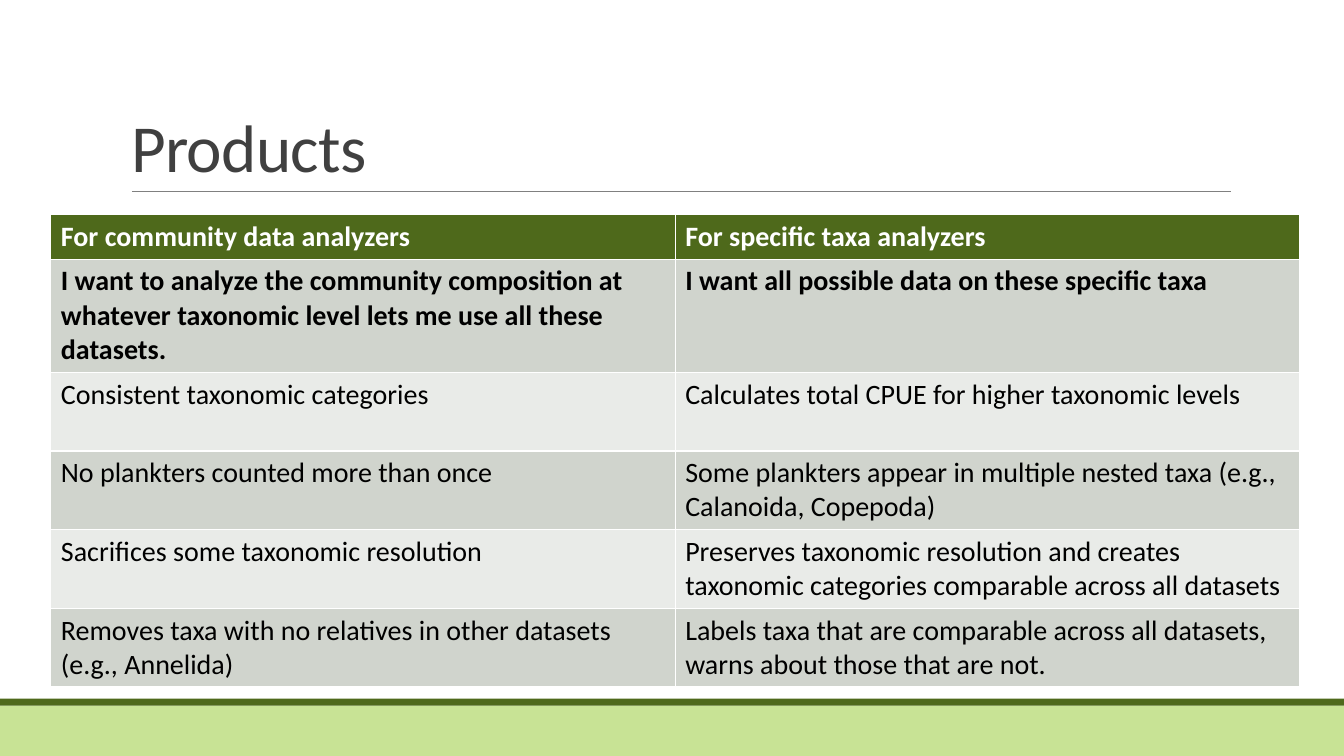
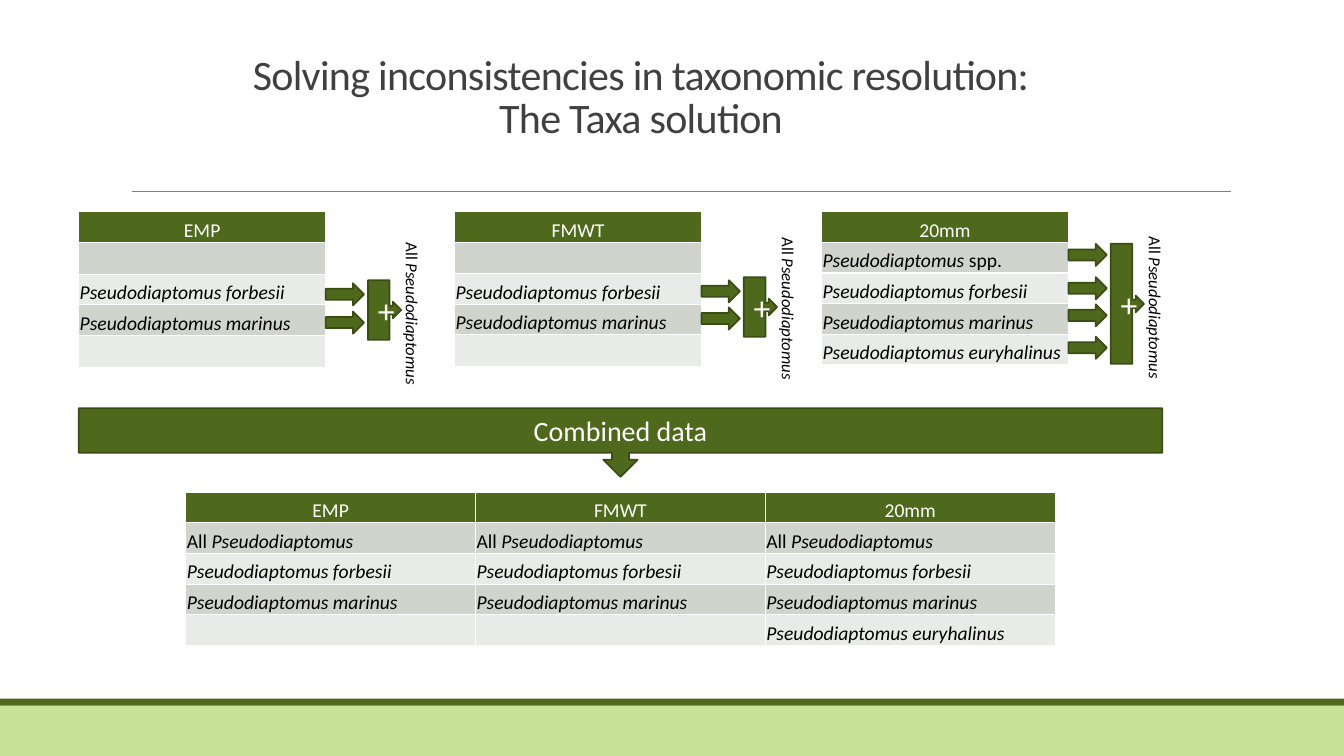
from dataclasses import dataclass
from typing import NamedTuple

from lxml import etree
from pptx import Presentation
from pptx.dml.color import RGBColor
from pptx.enum import shapes, text
from pptx.oxml import ns
from pptx.util import Pt

COLORS = {
    "band": "C8E395",
    "green": "4E691B",
    "outline": "3A4E14",
    "rule": "808080",
    "title": "404040",
    "dark_row": "D0D4CD",
    "light_row": "E9EBE8",
    "black": "000000",
    "white": "FFFFFF",
}
FONT = "Calibri"
SLIDE_WIDTH, SLIDE_HEIGHT = 960, 540
TITLE_ONLY = 5


class Box(NamedTuple):
    left: float
    top: float
    width: float
    height: float

    def lengths(self) -> tuple:
        return tuple(Pt(value) for value in self)


@dataclass(frozen=True)
class TableStyle:
    size: float
    bold_rows: int = 0
    compact: bool = False


@dataclass(frozen=True)
class Survey:
    name: str
    left: float
    taxa: tuple[str, ...]
    arrow_tops: tuple[float, ...]
    sum_top: float
    sum_height: float
    label_top: float


FORBESII = "*Pseudodiaptomus forbesii*"
MARINUS = "*Pseudodiaptomus marinus*"
EURYHALINUS = "*Pseudodiaptomus euryhalinus*"
ALL_GENUS = "All *Pseudodiaptomus*"

PRODUCTS = [
    ("For community data analyzers", "For specific taxa analyzers"),
    ("I want to analyze the community composition at whatever taxonomic level "
     "lets me use all these datasets.",
     "I want all possible data on these specific taxa"),
    ("Consistent taxonomic categories",
     "Calculates total CPUE for higher taxonomic levels"),
    ("No plankters counted more than once",
     "Some plankters appear in multiple nested taxa (e.g., Calanoida, Copepoda)"),
    ("Sacrifices some taxonomic resolution",
     "Preserves taxonomic resolution and creates taxonomic categories "
     "comparable across all datasets"),
    ("Removes taxa with no relatives in other datasets (e.g., Annelida)",
     "Labels taxa that are comparable across all datasets, warns about those "
     "that are not."),
]
SURVEYS = [
    Survey("EMP", 56.2, ("", FORBESII, MARINUS, ""),
           (202.3, 222.5), 200.2, 42.5, 223.2),
    Survey("FMWT", 324.7, ("", FORBESII, MARINUS, ""),
           (200.2, 219.6), 198, 42.5, 219.6),
    Survey("20mm", 586.8, ("*Pseudodiaptomus* spp.", FORBESII, MARINUS, EURYHALINUS),
           (174.2, 198, 217.4, 240.5), 174.2, 85.7, 218.9),
]
SURVEY_WIDTH = 176.4
SURVEY_TOP = 151.2
TAXA_ROW = 21.9
PRODUCT_STYLE = TableStyle(20, bold_rows=2)
TAXA_STYLE = TableStyle(14, compact=True)


def rgb(name: str) -> RGBColor:
    return RGBColor.from_string(COLORS[name])


def format_font(font, size: float, color: str, bold: bool = False) -> None:
    font.name = FONT
    font.size = Pt(size)
    font.bold = bold
    font.color.rgb = rgb(color)


def write_marked(paragraph, marked: str, size: float, color: str,
                 bold: bool = False) -> None:
    for index, part in enumerate(marked.split("*")):
        if part:
            run = paragraph.add_run()
            run.text = part
            format_font(run.font, size, color, bold)
            run.font.italic = index % 2 == 1


def add_block(slide, kind, box: Box, fill: str, outline: str = ""):
    block = slide.shapes.add_shape(kind, *box.lengths())
    block.shadow.inherit = False
    block.fill.solid()
    block.fill.fore_color.rgb = rgb(fill)
    if outline:
        block.line.color.rgb = rgb(outline)
        block.line.width = Pt(1.25)
    else:
        block.line.fill.background()
    return block


def add_flow(slide, kind, box: Box, caption: str = "", size: float = 20) -> None:
    flow = add_block(slide, kind, box, "green", "outline")
    if caption:
        frame = flow.text_frame
        frame.text = caption
        frame.word_wrap = True
        frame.vertical_anchor = text.MSO_ANCHOR.MIDDLE
        paragraph = frame.paragraphs[0]
        paragraph.alignment = text.PP_ALIGN.CENTER
        format_font(paragraph.runs[0].font, size, "white")


def add_titled_slide(prs, title: str, box: Box, size: float, align):
    slide = prs.slides.add_slide(prs.slide_layouts[TITLE_ONLY])
    rectangle = shapes.MSO_SHAPE.RECTANGLE
    add_block(slide, rectangle, Box(0, 504, SLIDE_WIDTH, 36), "band")
    add_block(slide, rectangle, Box(0, 499, SLIDE_WIDTH, 5), "green")
    rule = slide.shapes.add_connector(
        shapes.MSO_CONNECTOR.STRAIGHT, Pt(94.3), Pt(136.8), Pt(879), Pt(136.8))
    rule.line.color.rgb = rgb("rule")
    rule.line.width = Pt(0.5)
    etree.SubElement(rule._element.spPr, ns.qn("a:effectLst"))

    heading = slide.shapes.title
    heading.left, heading.top, heading.width, heading.height = box.lengths()
    frame = heading.text_frame
    frame.text = title
    frame.word_wrap = True
    frame.auto_size = text.MSO_AUTO_SIZE.NONE
    frame.vertical_anchor = text.MSO_ANCHOR.BOTTOM
    for paragraph in frame.paragraphs:
        paragraph.alignment = align
        paragraph.line_spacing = 0.85
        for run in paragraph.runs:
            format_font(run.font, size, "title")
            run._r.get_or_add_rPr().set("spc", "-50")
    return slide


def add_data_table(slide, left: float, top: float, column_width: float,
                   row_heights: list[float], rows: list[tuple[str, ...]],
                   style: TableStyle) -> None:
    columns = len(rows[0])
    box = Box(left, top, column_width * columns, sum(row_heights))
    grid = slide.shapes.add_table(len(rows), columns, *box.lengths()).table
    for column in grid.columns:
        column.width = Pt(column_width)
    for index, (height, values) in enumerate(zip(row_heights, rows)):
        grid.rows[index].height = Pt(height)
        header = index == 0
        fill = "green" if header else ("light_row", "dark_row")[index % 2]
        for cell, value in zip(grid.rows[index].cells, values):
            cell.fill.solid()
            cell.fill.fore_color.rgb = rgb(fill)
            paragraph = cell.text_frame.paragraphs[0]
            if style.compact:
                cell.margin_left = cell.margin_right = cell.margin_top = Pt(0.72)
                cell.margin_bottom = 0
                cell.vertical_anchor = text.MSO_ANCHOR.BOTTOM
                if header:
                    paragraph.alignment = text.PP_ALIGN.CENTER
            write_marked(paragraph, value, style.size,
                         "white" if header else "black", index < style.bold_rows)


def add_genus_label(slide, box: Box) -> None:
    label = slide.shapes.add_textbox(*box.lengths())
    label.rotation = 90
    label.text_frame.word_wrap = True
    label.text_frame.auto_size = text.MSO_AUTO_SIZE.SHAPE_TO_FIT_TEXT
    write_marked(label.text_frame.paragraphs[0], ALL_GENUS, 12, "black")


def add_survey(slide, survey: Survey) -> None:
    rows = [(value,) for value in (survey.name, *survey.taxa)]
    add_data_table(slide, survey.left, SURVEY_TOP, SURVEY_WIDTH,
                   [TAXA_ROW] * len(rows), rows, TAXA_STYLE)
    add_flow(slide, shapes.MSO_SHAPE.RIGHT_ARROW_CALLOUT,
             Box(survey.left + 206.6, survey.sum_top, 23.8, survey.sum_height),
             "+", 24)
    for top in survey.arrow_tops:
        add_flow(slide, shapes.MSO_SHAPE.RIGHT_ARROW,
                 Box(survey.left + SURVEY_WIDTH, top, 27.4, 15.8))
    add_genus_label(slide, Box(survey.left + 170.4, survey.label_top, 136, 21.8))


def build_products(prs) -> None:
    slide = add_titled_slide(prs, "Products", Box(86.4, 22.3, 792, 114.5), 48,
                             text.PP_ALIGN.LEFT)
    add_data_table(slide, 36.3, 153.4, 446, [31, 81, 56, 56, 56, 56],
                   PRODUCTS, PRODUCT_STYLE)


def build_taxa_solution(prs) -> None:
    slide = add_titled_slide(
        prs, "Solving inconsistencies in taxonomic resolution:\nThe Taxa solution",
        Box(147.6, 26.6, 620.6, 78.5), 30, text.PP_ALIGN.CENTER)
    for survey in SURVEYS:
        add_survey(slide, survey)
    add_flow(slide, shapes.MSO_SHAPE.DOWN_ARROW_CALLOUT,
             Box(56.2, 291.6, 774, 49), "Combined data")
    combined = [
        tuple(survey.name for survey in SURVEYS),
        (ALL_GENUS,) * len(SURVEYS),
        *zip(*(survey.taxa[1:] for survey in SURVEYS)),
    ]
    add_data_table(slide, 132.7, 351.6, 207, [TAXA_ROW] * len(combined),
                   combined, TAXA_STYLE)


def main() -> None:
    prs = Presentation()
    prs.slide_width, prs.slide_height = Pt(SLIDE_WIDTH), Pt(SLIDE_HEIGHT)
    build_products(prs)
    build_taxa_solution(prs)
    prs.save("out.pptx")


if __name__ == "__main__":
    main()
